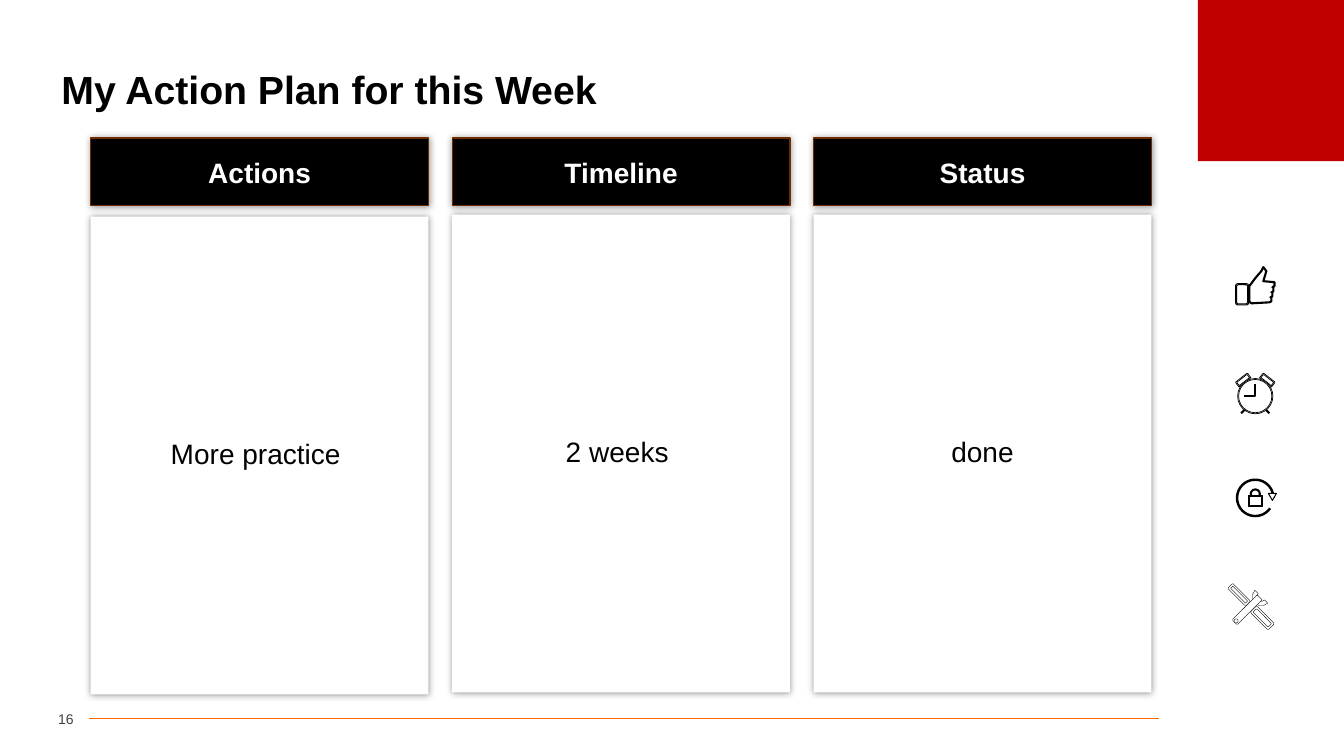
import math
from lxml import etree
from pptx import Presentation
from pptx.dml.color import RGBColor
from pptx.enum import shapes, text
from pptx.oxml import ns
from pptx.util import Inches, Pt

BLACK = RGBColor(0x00, 0x00, 0x00)
WHITE = RGBColor(0xFF, 0xFF, 0xFF)
RED = RGBColor(0xC0, 0x00, 0x00)
ORANGE = RGBColor(0xFF, 0x66, 0x00)
BROWN = RGBColor(0x70, 0x2D, 0x00)
GREY = RGBColor(0x40, 0x40, 0x40)

RECT = shapes.MSO_SHAPE.RECTANGLE
OVAL = shapes.MSO_SHAPE.OVAL
ROUNDED = shapes.MSO_SHAPE.ROUNDED_RECTANGLE
DOME = shapes.MSO_SHAPE.ROUND_2_SAME_RECTANGLE
TIP = shapes.MSO_SHAPE.FLOWCHART_MERGE
JAW = shapes.MSO_SHAPE.BLOCK_ARC
LEFT_ALIGN, CENTER, RIGHT_ALIGN = (
    text.PP_ALIGN.LEFT, text.PP_ALIGN.CENTER, text.PP_ALIGN.RIGHT)

TITLE = "My Action Plan for this Week"
PAGE_NUMBER = "16"
COLUMNS = [
    ("Actions", "More practice ", 2.15),
    ("Timeline", "2 weeks ", 2.13),
    ("Status", "done", 2.13),
]
LEFT, RIGHT, CARD_WIDTH = 0.9, 11.42, 3.35
HEADER_TOP, HEADER_HEIGHT, CARD_HEIGHT = 1.37, 0.67, 4.74

DISC_SIZE = 0.9
DISCS = [(11.99, 2.43), (11.99, 3.47), (11.99, 4.49), (11.96, 5.55)]
THUMB_TIP = [(12.39, 2.84), (12.45, 2.76), (12.51, 2.69), (12.53, 2.65),
             (12.56, 2.69), (12.53, 2.79)]
PALM = [(12.41, 3.01), (12.39, 2.99)]
FINGERS, FINGER_TOP, FINGER_PITCH = 4, 2.8, 0.05
CLOCK_X, CLOCK_Y = 12.45, 3.93
LOCK_X, LOCK_Y, LOOP_RADIUS = 12.45, 4.94, 0.18
LOOP_START, LOOP_END = 35, 360
TOOL_PARTS = [
    (ROUNDED, 12.29, 5.9, 0.25, 0.07, 45, 0.02),
    (ROUNDED, 12.52, 6.13, 0.25, 0.09, 45, 0.02),
    (JAW, 12.51, 5.92, 0.18, 0.18, 225, 0),
    (ROUNDED, 12.37, 6.05, 0.35, 0.07, -45, 0),
    (OVAL, 12.26, 6.16, 0.04, 0.04, 0, 0),
]


def paint(shape, fill, line=None, width=1):
    shape.shadow.inherit = False
    if fill is None:
        shape.fill.background()
    else:
        shape.fill.solid()
        shape.fill.fore_color.rgb = fill
    if line is None:
        shape.line.fill.background()
    else:
        shape.line.color.rgb = line
        shape.line.width = Pt(width)


def preset(kind, left, top, width, height, fill, line=None, line_width=1):
    shape = page.shapes.add_shape(
        kind, Inches(left), Inches(top), Inches(width), Inches(height))
    paint(shape, fill, line, line_width)
    return shape


def icon_part(kind, x, y, width, height, turn=0, rim=0, line_width=0.5):
    for inset in ([0, rim] if rim else [0]):
        wide, high = width - 2 * inset, height - 2 * inset
        part = preset(kind, x - wide / 2, y - high / 2, wide, high,
                      WHITE, BLACK, line_width)
        part.rotation = turn


def polyline(points, line_width, closed=False):
    points = [(Inches(x), Inches(y)) for x, y in points]
    builder = page.shapes.build_freeform(*points[0])
    builder.add_line_segments(points[1:], close=closed)
    paint(builder.convert_to_shape(), WHITE if closed else None, BLACK, line_width)


def straight(x1, y1, x2, y2, color, line_width):
    line = page.shapes.add_connector(shapes.MSO_CONNECTOR.STRAIGHT, Inches(x1),
                                     Inches(y1), Inches(x2), Inches(y2))
    line.line.color.rgb = color
    line.line.width = Pt(line_width)
    etree.SubElement(line._element.spPr, ns.qn("a:effectLst"))


def draw_thumb():
    knuckles = []
    for finger in range(FINGERS):
        edge = 12.64 - 0.01 * finger
        top = FINGER_TOP + finger * FINGER_PITCH
        knuckles += [(edge, top), (edge, top + 0.04), (edge - 0.02, top + 0.05)]
    polyline(THUMB_TIP + knuckles + PALM, 1.5, closed=True)
    icon_part(ROUNDED, 12.32, 2.92, 0.13, 0.21, rim=0.01, line_width=0.75)


def draw_clock():
    for side in (-1, 1):
        icon_part(DOME, CLOCK_X + side * 0.12, CLOCK_Y - 0.16, 0.15, 0.06,
                  side * 38, 0.01)
        straight(CLOCK_X + side * 0.1, CLOCK_Y + 0.13,
                 CLOCK_X + side * 0.14, CLOCK_Y + 0.17, BLACK, 1.5)
    icon_part(OVAL, CLOCK_X, CLOCK_Y, 0.35, 0.35, rim=0.01)
    polyline([(CLOCK_X, CLOCK_Y - 0.12), (CLOCK_X, CLOCK_Y),
              (CLOCK_X - 0.11, CLOCK_Y)], 1.5)


def draw_lock():
    angles = [math.radians(a) for a in range(LOOP_START, LOOP_END + 1, 5)]
    polyline([(LOCK_X + LOOP_RADIUS * math.cos(a), LOCK_Y + LOOP_RADIUS * math.sin(a))
              for a in angles], 1.75)
    icon_part(TIP, 12.62, 4.93, 0.08, 0.07, line_width=0.75)
    icon_part(OVAL, LOCK_X, 4.9, 0.09, 0.09, line_width=1.5)
    icon_part(RECT, LOCK_X, 4.97, 0.14, 0.11, rim=0.01, line_width=0.75)


def draw_tools():
    for part in TOOL_PARTS:
        icon_part(*part, line_width=0.25)


def write(box, words, size, color, align, bold=False):
    frame = box.text_frame
    frame.word_wrap = True
    frame.vertical_anchor = text.MSO_ANCHOR.MIDDLE
    para = frame.paragraphs[0]
    para.alignment = align
    span = para.add_run()
    span.text = words
    span.font.name = "Arial"
    span.font.size = Pt(size)
    span.font.bold = bold
    span.font.color.rgb = color
    return para


def add_glow(shape):
    effects = shape._element.spPr.find(ns.qn("a:effectLst"))
    shadow = etree.SubElement(effects, ns.qn("a:outerShdw"), blurRad=str(Pt(5)),
                              dist="0", dir="0", algn="ctr", rotWithShape="0")
    color = etree.SubElement(shadow, ns.qn("a:srgbClr"), val=str(BLACK))
    etree.SubElement(color, ns.qn("a:alpha"), val="40000")


deck = Presentation()
deck.slide_width, deck.slide_height = Inches(13.33), Inches(7.5)
page = deck.slides.add_slide(deck.slide_layouts[5])

straight(0.88, 7.13, 11.5, 7.13, ORANGE, 0.5)
preset(RECT, 11.88, 0, 1.45, 1.6, RED)

title = page.shapes.title
title.left, title.top = Inches(0.51), Inches(0.52)
title.width, title.height = Inches(12.31), Inches(0.78)
write(title, TITLE, 28, BLACK, LEFT_ALIGN, bold=True).line_spacing = 0.9

number = page.shapes.add_textbox(Inches(0.33), Inches(6.99), Inches(0.4), Inches(0.29))
number.text_frame.margin_left = number.text_frame.margin_right = 0
write(number, PAGE_NUMBER, 10, GREY, RIGHT_ALIGN)

pitch = (RIGHT - LEFT - CARD_WIDTH) / (len(COLUMNS) - 1)
for column, (heading, entry, card_top) in enumerate(COLUMNS):
    left = LEFT + column * pitch
    card = preset(RECT, left, card_top, CARD_WIDTH, CARD_HEIGHT, WHITE)
    add_glow(card)
    para = write(card, entry, 20, BLACK, CENTER)
    para.line_spacing = 0.9
    para.space_before = Pt(10)
    header = preset(RECT, left, HEADER_TOP, CARD_WIDTH, HEADER_HEIGHT, BLACK, BROWN)
    add_glow(header)
    write(header, heading, 20, WHITE, CENTER, bold=True)

for (left, top), draw_icon in zip(DISCS, [draw_thumb, draw_clock, draw_lock, draw_tools]):
    preset(OVAL, left, top, DISC_SIZE, DISC_SIZE, WHITE)
    draw_icon()

deck.save("out.pptx")
